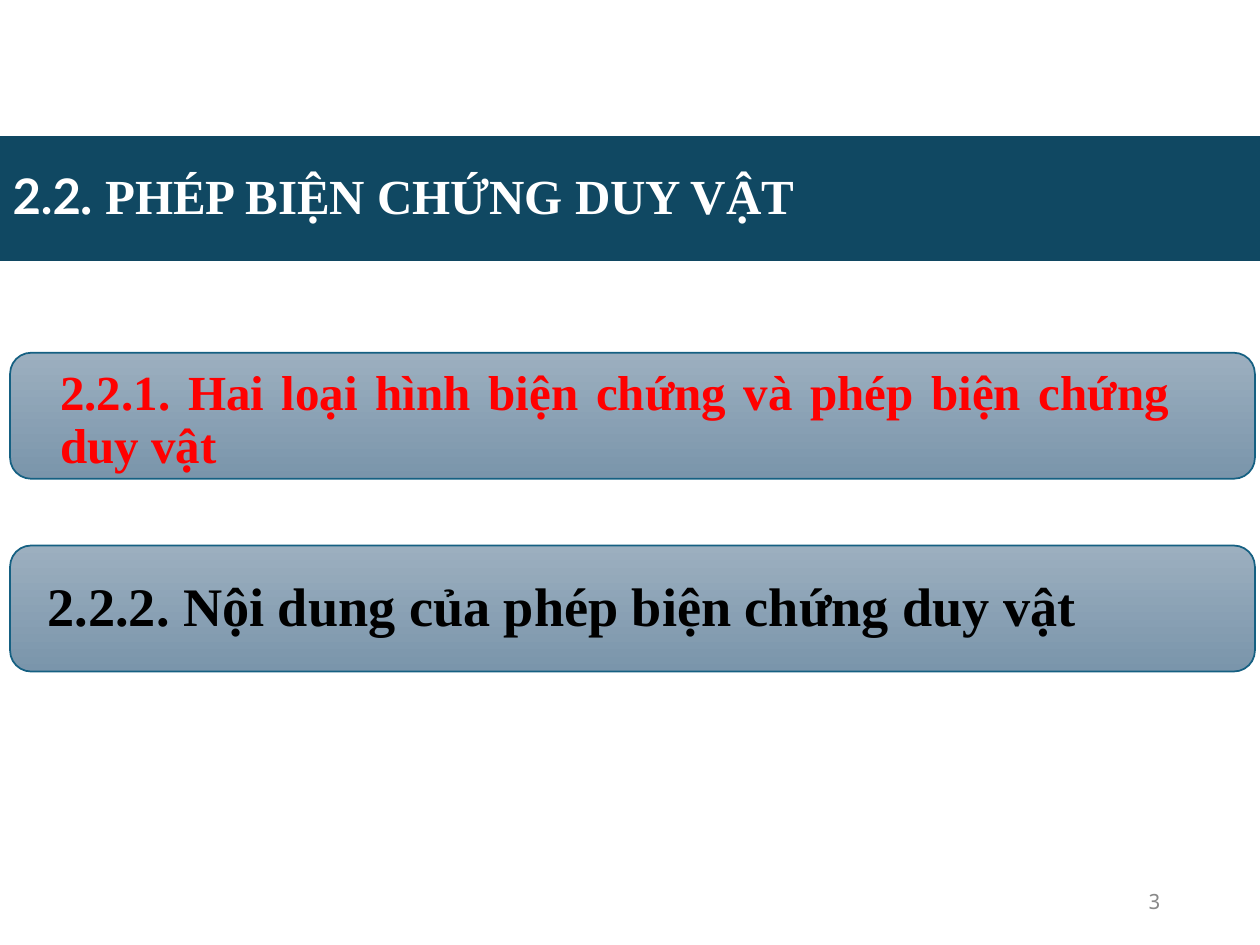
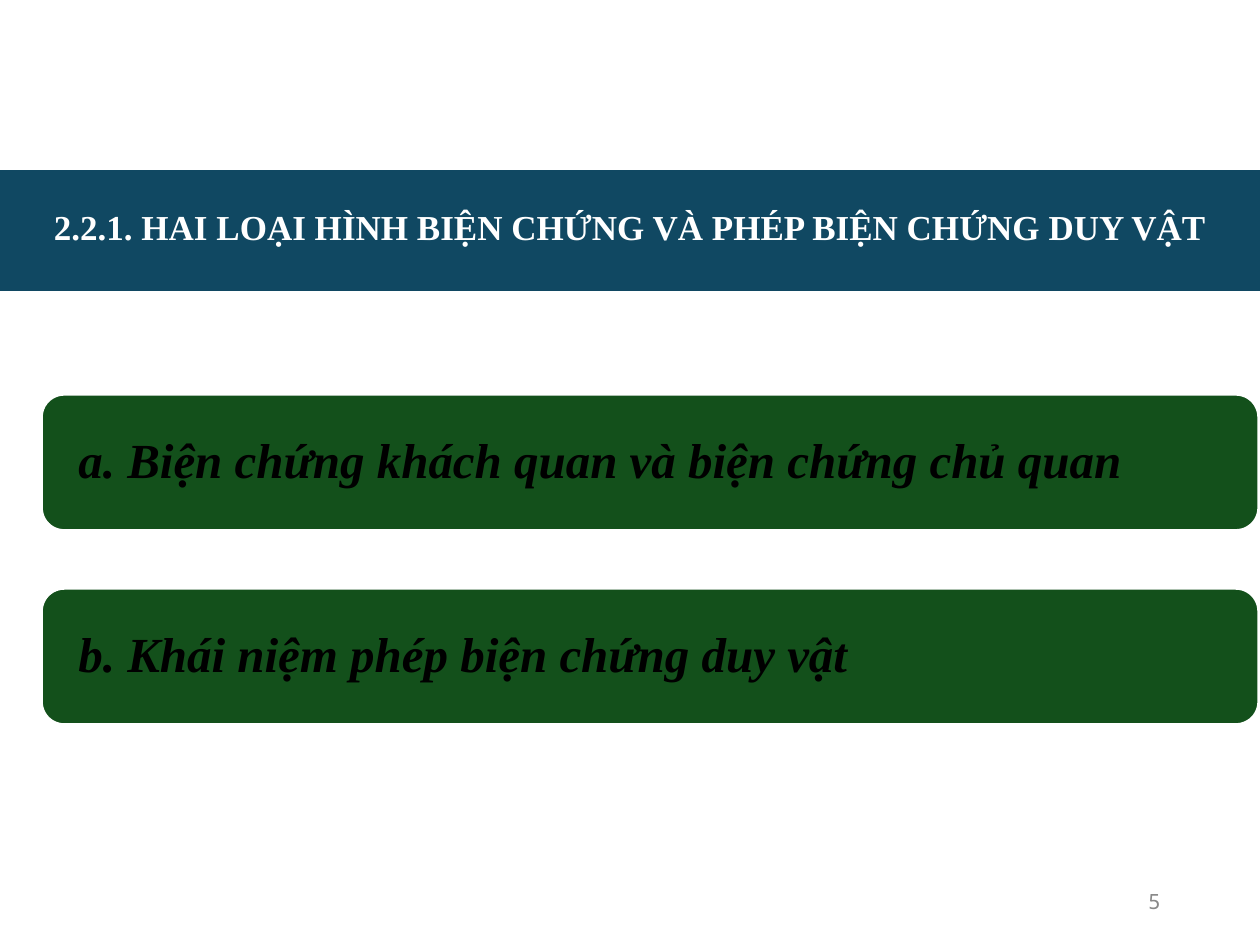
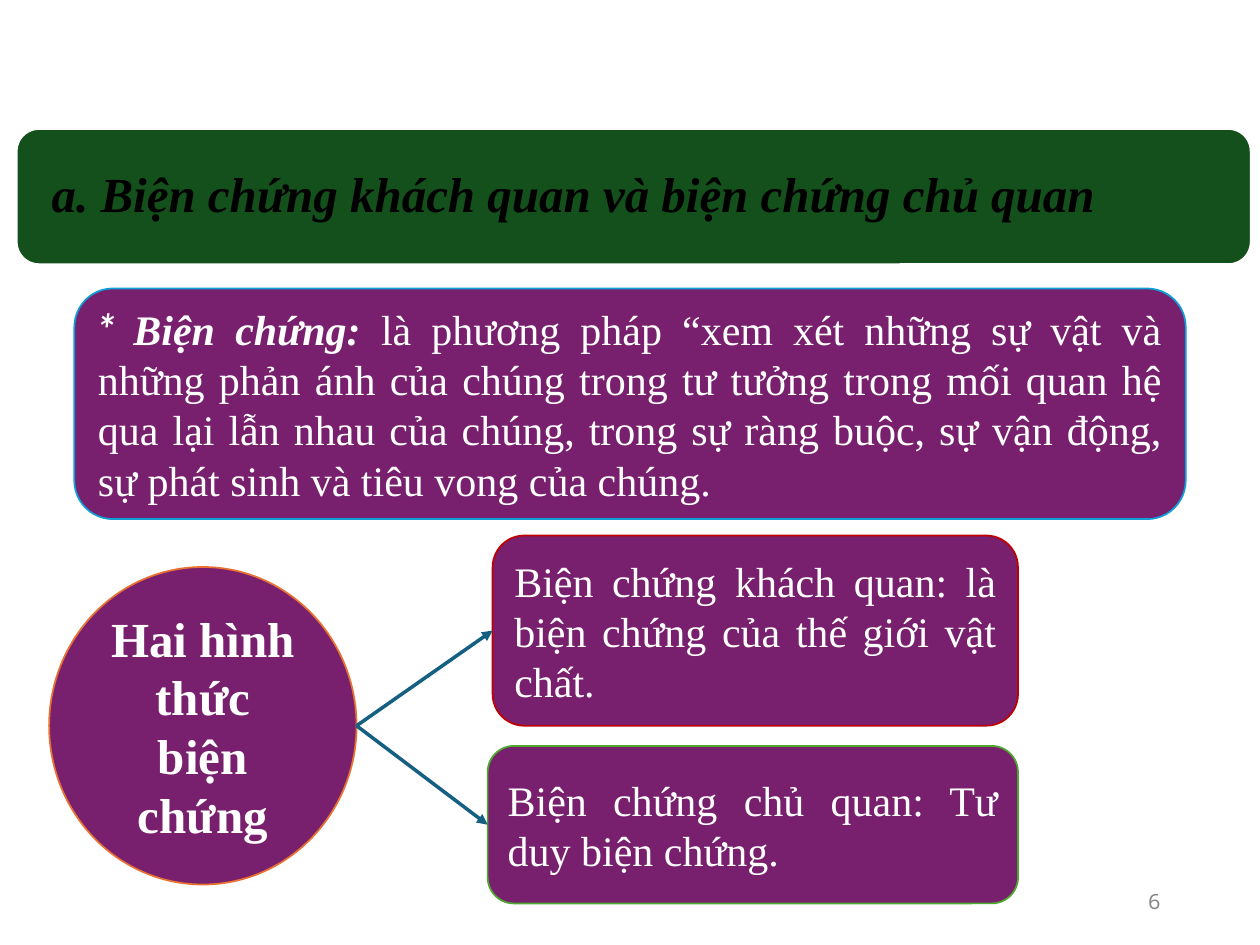
from pptx import Presentation
from pptx.dml.color import RGBColor
from pptx.enum.shapes import MSO_CONNECTOR, MSO_SHAPE
from pptx.enum.text import MSO_ANCHOR, MSO_AUTO_SIZE, PP_ALIGN
from pptx.oxml.ns import qn
from pptx.util import Inches, Pt
from lxml import etree

COLORS = {
    "band": "104862", "white": "FFFFFF", "black": "000000", "red": "FF0000",
    "gray": "898989", "steel_top": "9CAFBF", "steel_bottom": "7A95AB",
    "teal": "156082", "green": "13501B", "purple": "78206E", "blue": "0F9ED5",
    "orange": "E97132", "dark_red": "C00000", "light_green": "4EA72E",
}
RGB = {name: RGBColor.from_string(value) for name, value in COLORS.items()}
SERIF = "Times New Roman"
SECTION_A = "a. Biện chứng khách quan và biện chứng chủ quan"


def write(sp, *runs, size=28, color="white", bold=False, italic=False, font=SERIF,
          align=PP_ALIGN.LEFT, spacing=1.0, insets=(0.1, 0.05, 0.1, 0.05)):
    """Fill sp with one paragraph; a run is a text or (text, font, bold, italic)."""
    tf = sp.text_frame
    tf.word_wrap = True
    tf.auto_size = MSO_AUTO_SIZE.NONE
    tf.vertical_anchor = MSO_ANCHOR.MIDDLE
    tf.margin_left, tf.margin_top, tf.margin_right, tf.margin_bottom = map(Inches, insets)
    p = tf.paragraphs[0]
    p.alignment = align
    p.line_spacing = spacing
    for run in runs:
        text, name, b, i = (run, font, bold, italic) if isinstance(run, str) else run
        r = p.add_run()
        r.text = text
        r.font.name, r.font.size = name, Pt(size)
        r.font.bold, r.font.italic = b, i
        r.font.color.rgb = RGB[color]


def add_panel(slide, box, fill, line, width=1, kind=MSO_SHAPE.ROUNDED_RECTANGLE):
    sp = slide.shapes.add_shape(kind, *map(Inches, box))
    sp.shadow.inherit = False
    if fill == "steel":
        sp.fill.gradient()
        sp.fill.gradient_angle = 270
        for stop, name in zip(sp.fill.gradient_stops, ("steel_top", "steel_bottom")):
            stop.color.rgb = RGB[name]
    else:
        sp.fill.solid()
        sp.fill.fore_color.rgb = RGB[fill]
    sp.line.color.rgb = RGB[line]
    sp.line.width = Pt(width)
    return sp


prs = Presentation()
prs.slide_width, prs.slide_height = Inches(10), Inches(7.5)

# Titles and page numbers
slides = []
for number, title_box, band in (
    (3, (0, 1.08, 10, 0.99), True),
    (5, (0, 1.35, 10, 0.96), True),
    (6, (0.17, 1.07, 9.7, 0.98), False),
):
    slide = prs.slides.add_slide(prs.slide_layouts[5])
    title = slide.shapes.title
    title.left, title.top, title.width, title.height = map(Inches, title_box)
    if band:
        title.fill.solid()
        title.fill.fore_color.rgb = RGB["band"]
    page = slide.shapes.add_textbox(Inches(7.06), Inches(6.95), Inches(2.25), Inches(0.4))
    write(page, str(number), size=12, color="gray", font="Noto Sans Mono",
          align=PP_ALIGN.RIGHT)
    slides.append(slide)
chapter, section, forms = slides

# Chapter 2.2
write(chapter.shapes.title, ("2.2", "Lato", True, False), ". PHÉP BIỆN CHỨNG DUY VẬT",
      bold=True, spacing=0.9)
for top, text, size, color, align, insets in (
    (2.8, "2.2.1. Hai loại hình biện chứng và phép biện chứng duy vật",
     28, "red", PP_ALIGN.JUSTIFY, (0.35, 0.08, 0.63, 0)),
    (4.33, "2.2.2. Nội dung của phép biện chứng duy vật",
     31, "black", PP_ALIGN.LEFT, (0.25, 0, 0.23, 0)),
):
    panel = add_panel(chapter, (0.08, top, 9.88, 1), "steel", "teal")
    write(panel, text, size=size, color=color, bold=True, align=align, spacing=0.9,
          insets=insets)

# Section 2.2.1
write(section.shapes.title, "2.2.1. HAI LOẠI HÌNH BIỆN CHỨNG VÀ PHÉP BIỆN CHỨNG DUY VẬT",
      size=20, bold=True, align=PP_ALIGN.CENTER, spacing=0.8)
for top, text in ((3.13, SECTION_A), (4.67, "b. Khái niệm phép biện chứng duy vật")):
    panel = add_panel(section, (0.33, top, 9.66, 1.08), "green", "white", 1.5)
    write(panel, text, color="black", bold=True, italic=True, spacing=0.9,
          insets=(0.24, 0, 0.24, 0))

# Two forms of dialectics
title = forms.shapes.title
bar = add_panel(forms, (0.13, 1.02, 9.8, 1.08), "green", "white", 1.5)
bar._element.addnext(title._element)
write(title, SECTION_A, color="black", bold=True, italic=True, spacing=0.9,
      insets=(0.24, 0, 0.24, 0))

definition = add_panel(forms, (0.59, 2.29, 8.82, 1.83), "purple", "blue")
write(definition, ("* ", "Lato", True, True), ("Biện chứng: ", SERIF, True, True),
      "là phương pháp “xem xét những sự vật và những phản ánh của chúng trong tư tưởng "
      "trong mối quan hệ qua lại lẫn nhau của chúng, trong sự ràng buộc, sự vận động, "
      "sự phát sinh và tiêu vong của chúng.",
      size=24, align=PP_ALIGN.JUSTIFY)

circle = add_panel(forms, (0.39, 4.5, 2.44, 2.52), "purple", "orange", kind=MSO_SHAPE.OVAL)
write(circle, "Hai hình thức biện chứng", bold=True, align=PP_ALIGN.CENTER)

for box, line, text in (
    ((3.91, 4.25, 4.17, 1.51), "dark_red",
     "Biện chứng khách quan: là biện chứng của thế giới vật chất."),
    ((3.87, 5.92, 4.21, 1.25), "light_green", "Biện chứng chủ quan: Tư duy biện chứng."),
):
    form = add_panel(forms, box, "purple", line)
    write(form, text, size=24, align=PP_ALIGN.JUSTIFY)
    arrow = forms.shapes.add_connector(
        MSO_CONNECTOR.STRAIGHT, circle.left + circle.width, circle.top + circle.height // 2,
        form.left, form.top + form.height // 2)
    arrow.line.color.rgb = RGB["teal"]
    arrow.line.width = Pt(2)
    etree.SubElement(arrow.line._get_or_add_ln(), qn("a:tailEnd"), type="triangle")
    etree.SubElement(arrow._element.spPr, qn("a:effectLst"))

prs.save("out.pptx")
